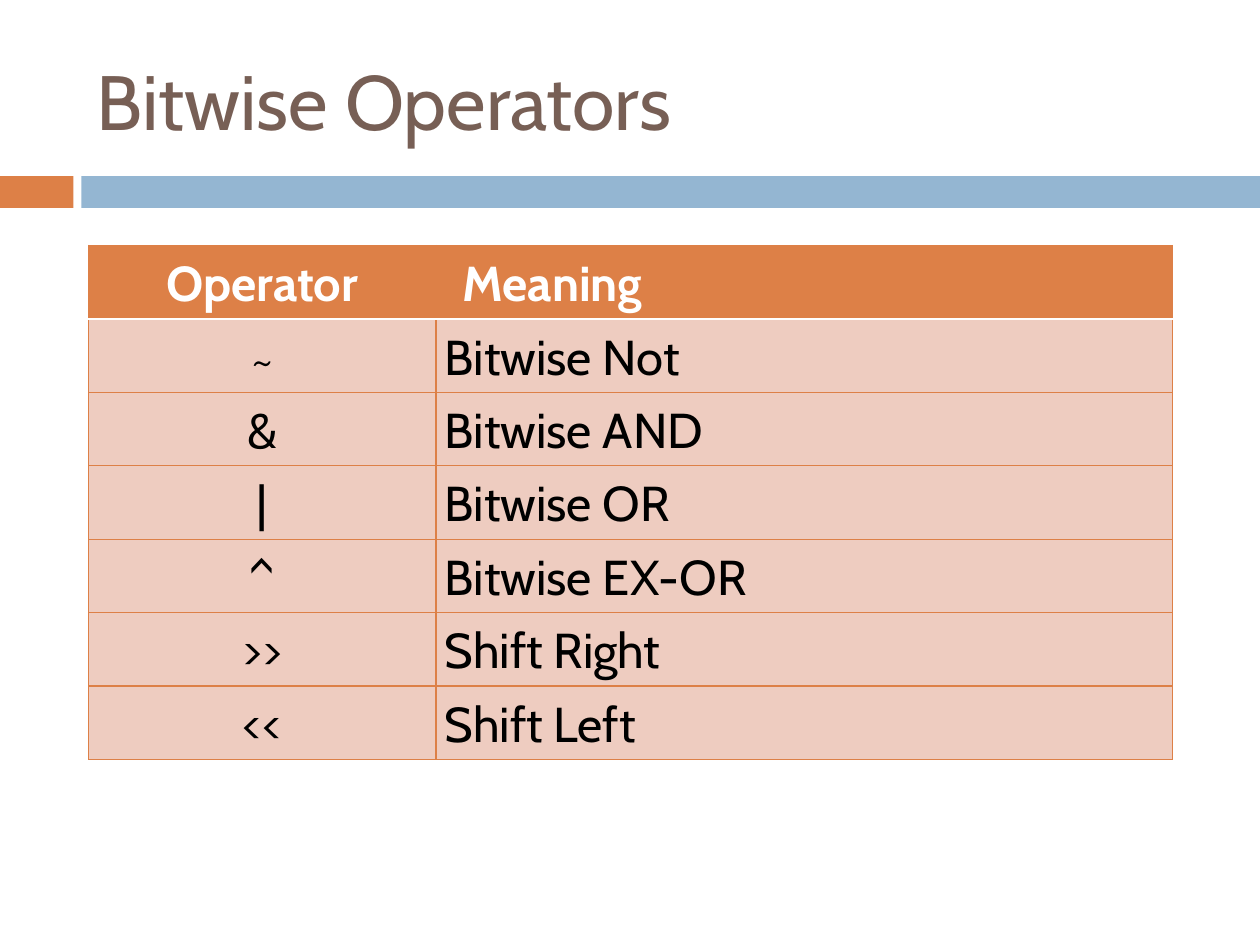
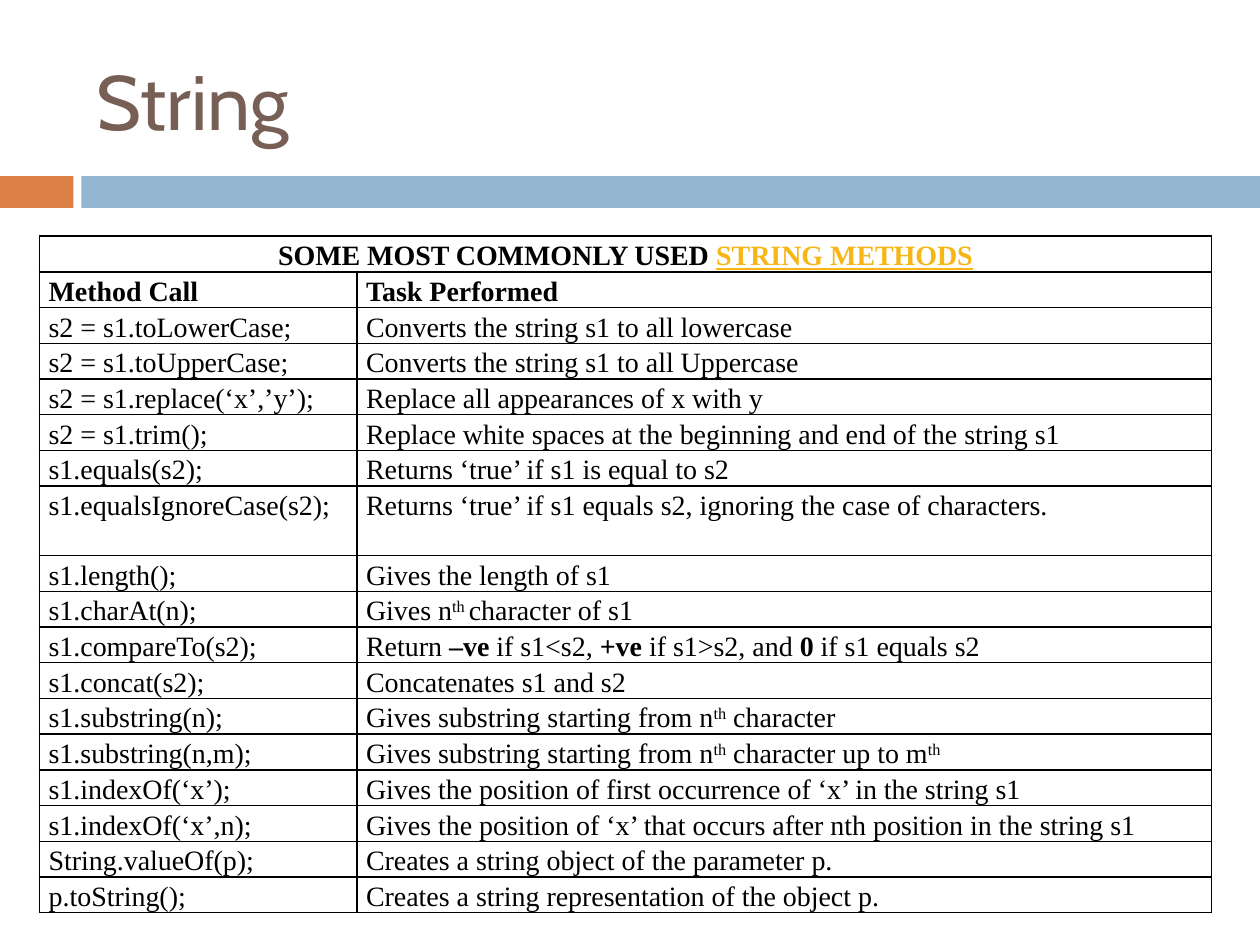
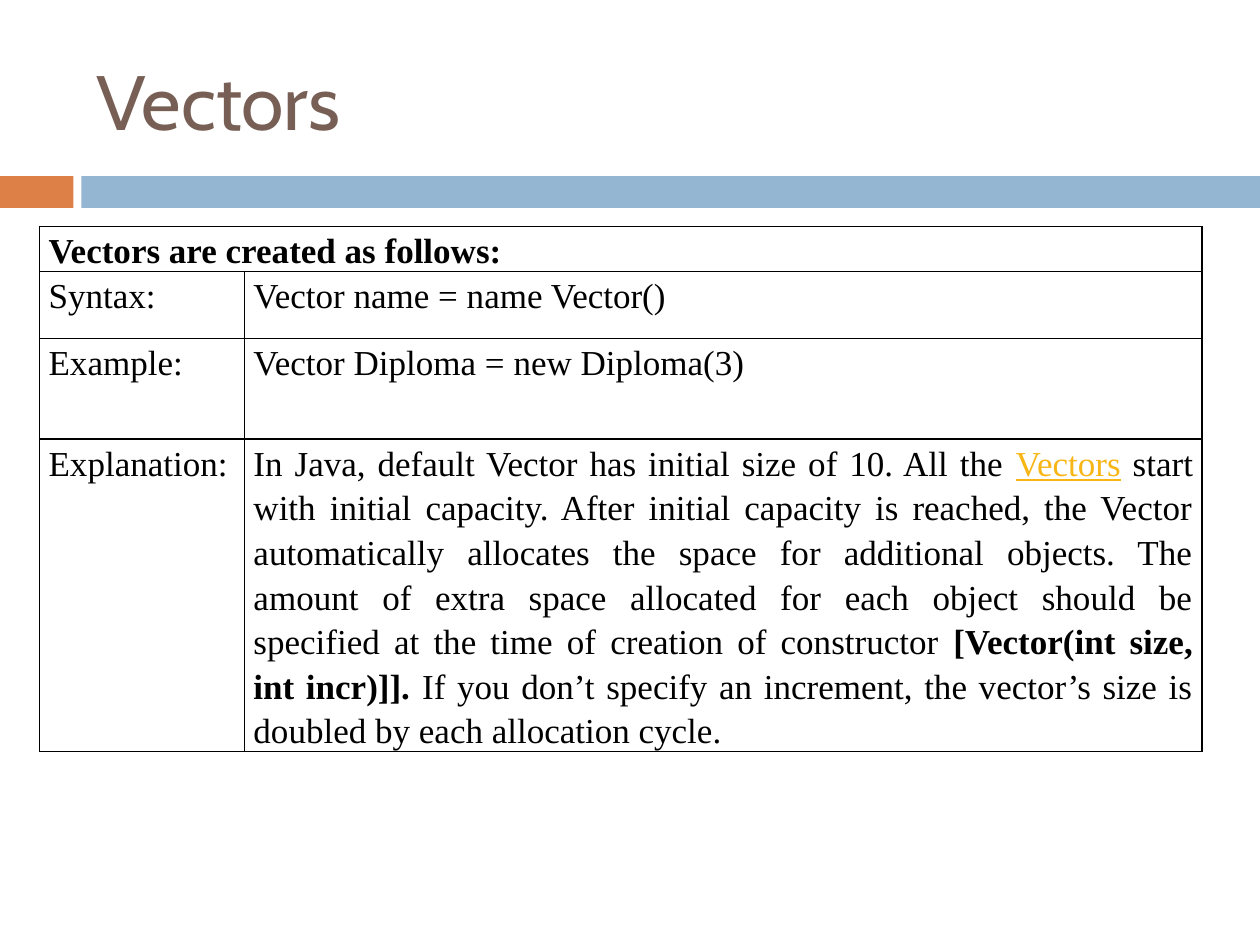
from pptx import Presentation
from pptx import util as u
from pptx.dml.color import RGBColor
from pptx.enum import shapes, text
from pptx.oxml import parse_xml
from pptx.oxml.ns import nsdecls

Cm, Pt = u.Cm, u.Pt
Al = text.PP_ALIGN


class Theme:
    # Colours
    rust, blue, brown = "DD8047", "94B6D2", "775F55"
    blush, gold = "EECCC0", "F7B615"
    black, white = "000000", "FFFFFF"
    # Fonts and sizes
    sans, serif = "Cabin", "Times New Roman"
    title, large, mid, small = 44, 28, 20, 16
    # Line spacing, relative and in points
    lead = 1.15
    tight = {small: Pt(20.4), mid: Pt(25.5)}
    # Cell insets
    inset, wide = 0.18, 0.53


# Run styles
BOLD = {"bold": True}
SUP = {"base": 30000}
LINK = {"hue": Theme.gold, "underline": True}
TH = ("th", SUP)

OPS = [
    ("~", "Bitwise Not"),
    ("&", "Bitwise AND"),
    ("|", "Bitwise OR"),
    ("^", "Bitwise EX-OR"),
    (">>", "Shift Right"),
    ("<<", "Shift Left"),
]

CALLS = [
    ("s2 = s1.toLowerCase;", "Converts the string s1 to all lowercase"),
    ("s2 = s1.toUpperCase;", "Converts the string s1 to all Uppercase"),
    ("s2 = s1.replace(‘x’,’y’);", "Replace all appearances of x with y"),
    ("s2 = s1.trim();",
     "Replace white spaces at the beginning and end of the string s1"),
    ("s1.equals(s2);", "Returns ‘true’ if s1 is equal to s2"),
    ("s1.equalsIgnoreCase(s2);",
     "Returns ‘true’ if s1 equals s2, ignoring the case of characters."),
    ("s1.length();", "Gives the length of s1"),
    ("s1.charAt(n);", ["Gives n", ("th ", SUP), "character of s1"]),
    ("s1.compareTo(s2);",
     ["Return ", ("–ve", BOLD), " if s1<s2, ", ("+ve", BOLD),
      " if s1>s2, and ", ("0", BOLD), " if s1 equals s2"]),
    ("s1.concat(s2);", "Concatenates s1 and s2"),
    ("s1.substring(n);",
     ["Gives substring starting from n", TH, " character"]),
    ("s1.substring(n,m);",
     ["Gives substring starting from n", TH, " character up to m", TH]),
    ("s1.indexOf(‘x’);",
     "Gives the position of first occurrence of ‘x’ in the string s1"),
    ("s1.indexOf(‘x’,n);",
     "Gives the position of ‘x’ that occurs after nth position in the string s1"),
    ("String.valueOf(p);", "Creates a string object of the parameter p."),
    ("p.toString();", "Creates a string representation of the object p."),
]

FACTS = [
    ("Syntax:", "Vector name = name Vector()"),
    ("Example:", "Vector Diploma = new Diploma(3)"),
    ("Explanation:", [
        "In Java, default Vector has initial size of 10. All the ",
        ("Vectors", LINK),
        " start with initial capacity. After initial capacity is reached, "
        "the Vector automatically allocates the space for additional objects. "
        "The amount of extra space allocated for each object should be "
        "specified at the time of creation of constructor ",
        ("[Vector(int size, int incr)]]. ", BOLD),
        "If you don’t specify an increment, the vector’s size is doubled "
        "by each allocation cycle.",
    ]),
]


def put(item, vals):
    for key, val in vals.items():
        setattr(item, key, val)


def paint(item, hue):
    item.fill.solid()
    item.fill.fore_color.rgb = RGBColor.from_string(hue)


def write(para, runs, look):
    """Add runs, each a string or a (string, style) pair."""
    for part in [runs] if isinstance(runs, str) else runs:
        words, style = (part, {}) if isinstance(part, str) else part
        style = {**look, **style}
        hue, base = style.pop("hue"), style.pop("base", None)
        run = para.add_run()
        run.text = words
        put(run.font, style)
        run.font.color.rgb = RGBColor.from_string(hue)
        if base:
            run.font._element.set("baseline", str(base))


def band(slide, left, width, hue):
    bar = slide.shapes.add_shape(
        shapes.MSO_SHAPE.RECTANGLE, Cm(left), Cm(3.55), Cm(width), Cm(0.64))
    bar.shadow.inherit = False
    paint(bar, hue)
    bar.line.fill.background()


def page(deck, name):
    """Add a slide with its bands and title."""
    slide = deck.slides.add_slide(deck.slide_layouts[6])
    band(slide, 0, 1.48, Theme.rust)
    band(slide, 1.64, 23.76, Theme.blue)
    box = slide.shapes.add_textbox(Cm(1.7), Cm(0.64), Cm(22.65), Cm(2.74))
    put(box.text_frame, {"word_wrap": True,
                         "vertical_anchor": text.MSO_ANCHOR.MIDDLE})
    write(box.text_frame.paragraphs[0], name,
          {"name": Theme.sans, "size": Pt(Theme.title), "hue": Theme.brown})
    return slide


def edge(cell, hue, width, sides="LRTB"):
    props = cell._tc.get_or_add_tcPr()
    for side in sides:
        props.append(parse_xml(
            f'<a:ln{side} {nsdecls("a")} w="{Pt(width)}"><a:solidFill>'
            f'<a:srgbClr val="{hue}"/></a:solidFill></a:ln{side}>'))


def grid(slide, left, top, cols, rows):
    """Add a plain table with the given column widths and row heights."""
    table = slide.shapes.add_table(
        len(rows), len(cols), Cm(left), Cm(top),
        Cm(sum(cols)), Cm(sum(rows))).table
    put(table, {"first_row": False, "horz_banding": False})
    for col, width in zip(table.columns, cols):
        col.width = Cm(width)
    for row, height in zip(table.rows, rows):
        row.height = Cm(height)
    return table


def fill(cell, runs, look, align, lead, inset=Theme.inset):
    put(cell, {"margin_left": Cm(inset), "margin_right": Cm(inset),
               "margin_top": 0, "margin_bottom": 0})
    para = cell.text_frame.paragraphs[0]
    put(para, {"alignment": align, "line_spacing": lead})
    write(para, runs, look)


def tinted(slide, head, body):
    """Table with a rust header over blush rows."""
    table = grid(slide, 1.79, 4.95, [7, 14.85], [1.48] * (len(body) + 1))
    look = {"name": Theme.sans, "size": Pt(Theme.large)}
    for i, row in enumerate([head] + body):
        top = i == 0
        tone = {"bold": top, "hue": Theme.white if top else Theme.black}
        aligns = (Al.CENTER, Al.JUSTIFY if top else Al.LEFT)
        for j, words in enumerate(row):
            cell = table.cell(i, j)
            fill(cell, words, {**look, **tone}, aligns[j], Theme.lead,
                 Theme.wide if top else Theme.inset)
            # The header and first row share a white rule
            for side in "LRTB":
                rule = (i, side) in ((0, "B"), (1, "T"))
                edge(cell, Theme.white if rule else Theme.rust,
                     1.5 if rule else 0.79, side)
            paint(cell, Theme.rust if top else Theme.blush)


def ruled(slide, top, cols, rows, size, head, align, body, bold=0):
    """Black-ruled table with a merged heading and some bold body rows."""
    table = grid(slide, 0.8, top, cols, rows)
    look = {"name": Theme.serif, "size": Pt(size), "hue": Theme.black}
    table.cell(0, 0).merge(table.cell(0, 1))
    for i, row in enumerate([(head, "")] + body):
        for j, words in enumerate(row):
            cell = table.cell(i, j)
            fill(cell, words if words else [], {**look, "bold": i <= bold},
                 Al.JUSTIFY if i else align, Theme.tight[size])
            edge(cell, Theme.black, 1)
            cell.fill.background()


def main():
    deck = Presentation()
    put(deck, {"slide_width": Cm(25.4), "slide_height": Cm(19.05)})

    # Operators
    tinted(page(deck, "Bitwise Operators"), ("Operator", "Meaning"), OPS)

    # String methods
    ruled(page(deck, "String"), 4.76, [6.4, 17.22],
          [0.72] * 7 + [1.4] + [0.72] * 10, Theme.small,
          ["SOME MOST COMMONLY USED ", ("STRING METHODS", LINK)], Al.CENTER,
          [("Method Call", "Task Performed")] + CALLS, bold=1)

    # Vectors
    ruled(page(deck, "Vectors"), 4.57, [4.13, 19.3],
          [0.9, 1.35, 2.03, 6.3], Theme.mid,
          "Vectors are created as follows:", Al.JUSTIFY, FACTS)

    deck.save("out.pptx")


if __name__ == "__main__":
    main()
